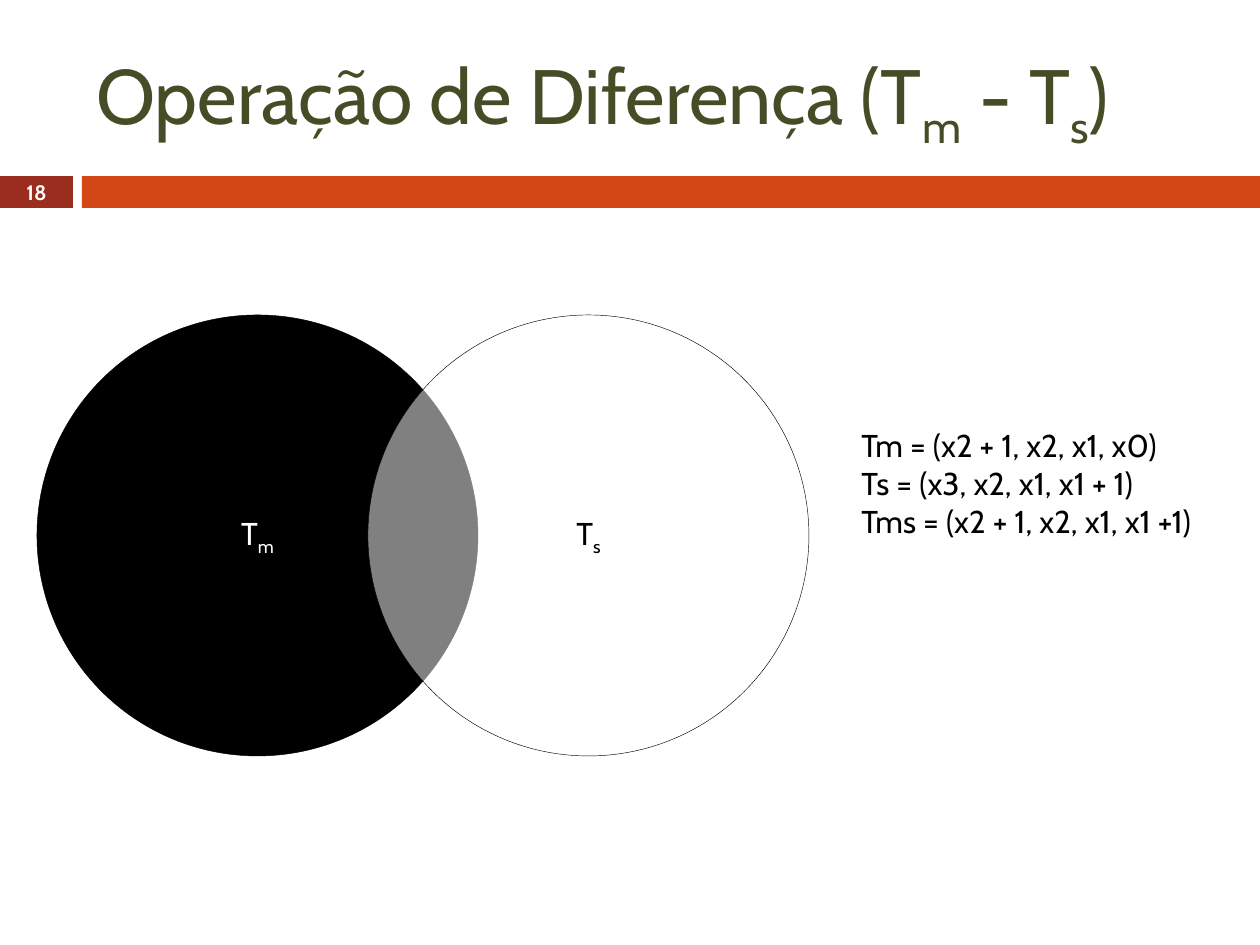
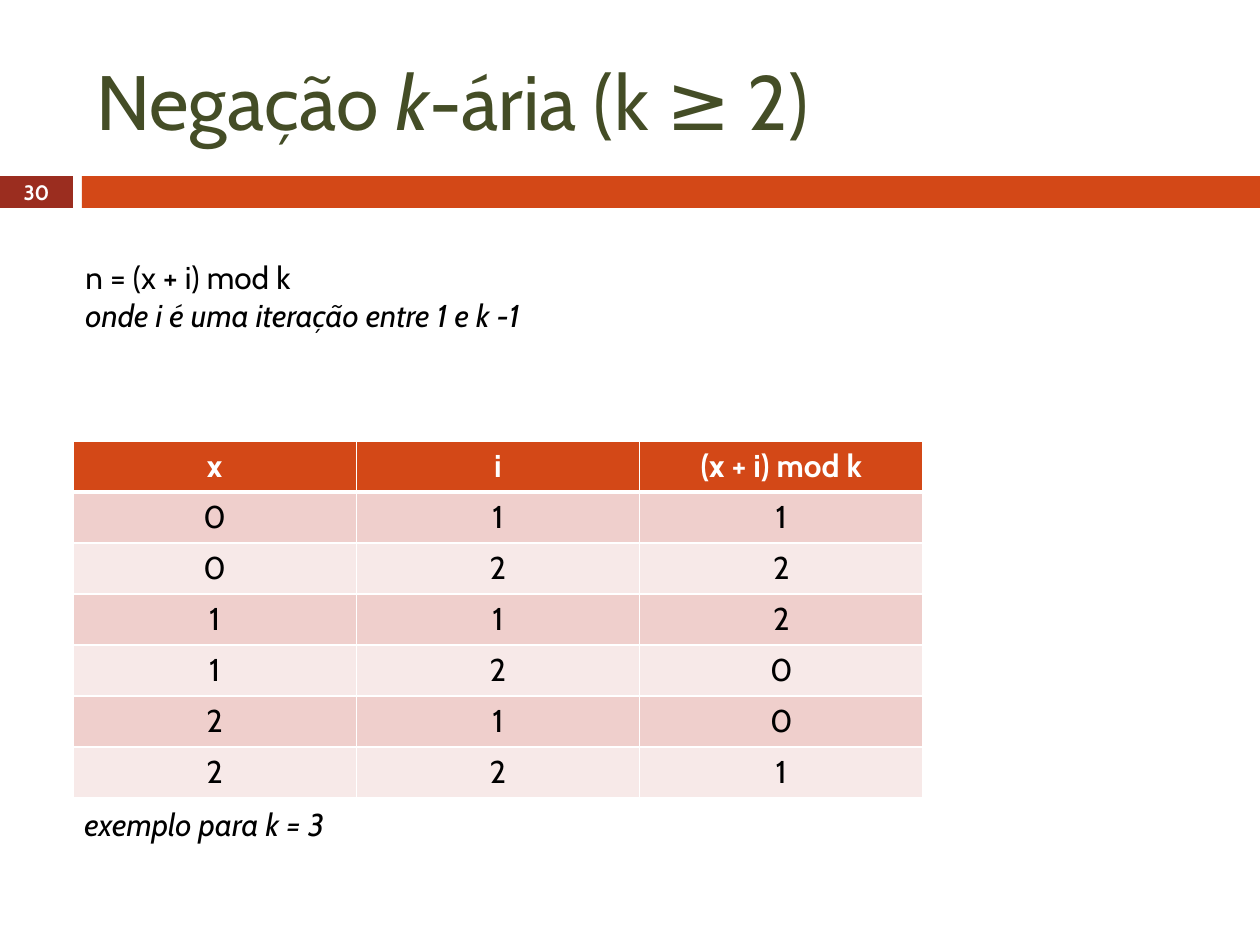
from lxml.etree import SubElement
from pptx import Presentation
from pptx.dml.color import RGBColor
from pptx.enum.shapes import MSO_SHAPE as Shape
from pptx.enum.text import MSO_ANCHOR as Anchor, PP_ALIGN as Align
from pptx.oxml.ns import qn
from pptx.util import Pt

PX = 914400 / 126
COLORS = {
    "title": "444D26", "number": "9B2D1F", "accent": "D34817",
    "row_dark": "EFCFCC", "row_light": "F7E9E8",
    "black": "000000", "white": "FFFFFF",
}
FONT = "Cabin"
TITLE = {"size": Pt(44), "color": "title"}
NUMBER = {"size": Pt(11.9), "color": "white", "bold": True}
BODY = {"size": Pt(18), "color": "black"}
ITALIC = {"italic": True}
SUB = {"baseline": "-25000"}


def write(frame, lines, base, align=Align.LEFT):
    """Fill a text frame; each line is a list of (text, extra format) spans."""
    for index, spans in enumerate(lines):
        para = frame.paragraphs[0] if index == 0 else frame.add_paragraph()
        para.alignment = align
        for text, extra in spans:
            span = para.add_run()
            span.text = text
            span.font.name = FONT
            for name, value in {**base, **extra}.items():
                if name == "color":
                    span.font.color.rgb = RGBColor.from_string(COLORS[value])
                elif name == "baseline":
                    span.font._element.set(name, value)
                else:
                    setattr(span.font, name, value)


def add_box(page, place, lines=(), base=BODY, fill=None, shape=None,
            align=Align.LEFT, anchor=Anchor.TOP, wrap=True):
    """Add a text box, or a preset shape when one is given."""
    place = [round(length * PX) for length in place]
    if shape is None:
        box = page.shapes.add_textbox(*place)
    else:
        box = page.shapes.add_shape(shape, *place)
        box.shadow.inherit = False
        box.fill.solid()
        box.fill.fore_color.rgb = RGBColor.from_string(COLORS[fill])
        box.line.fill.background()
    box.text_frame.word_wrap = wrap
    box.text_frame.vertical_anchor = anchor
    write(box.text_frame, lines, base, align)
    return box


deck = Presentation()
deck.slide_width, deck.slide_height = round(1260 * PX), round(945 * PX)

# Shared title, number and bands
headings = [
    ("18", [("Operação de Diferença (T", {}), ("m", SUB), (" - T", {}),
            ("s", SUB), (")", {})]),
    ("30", [("Negação ", {}), ("k", ITALIC), ("-ária (k ≥ 2)", {})]),
]
pages = []
for number, title in headings:
    page = deck.slides.add_slide(deck.slide_layouts[6])
    add_box(page, (0, 176, 73, 32), fill="number", shape=Shape.RECTANGLE)
    add_box(page, (82, 176, 1178, 32), fill="accent", shape=Shape.RECTANGLE)
    add_box(page, (84, 32, 1124, 136), [title], TITLE, anchor=Anchor.MIDDLE)
    add_box(page, (0, 175, 73, 34), [[(number, {})]], NUMBER,
            align=Align.CENTER, anchor=Anchor.MIDDLE)
    pages.append(page)
difference, negation = pages

# Difference: two overlapping sets
for left, letter, fill, ink in ((37, "m", "black", "white"),
                                (368, "s", "white", "black")):
    circle = add_box(difference, (left, 315, 441, 441),
                     [[("T", {}), (letter, SUB)]], {**BODY, "color": ink},
                     fill, Shape.OVAL, Align.CENTER, Anchor.MIDDLE)
    circle.line.color.rgb = RGBColor.from_string(COLORS["black"])
    circle.line.width = Pt(0.25)
fill_color = next(circle._element.spPr.iter(qn("a:srgbClr")))
SubElement(fill_color, qn("a:alpha"), val="50000")

tuples = ["Tm = (x2 + 1, x2, x1, x0)", "Ts = (x3, x2, x1, x1 + 1)",
          "Tms = (x2 + 1, x2, x1, x1 +1)"]
add_box(difference, (849, 420, 411, 165), [[(text, {})] for text in tuples],
        wrap=False)

# Negation: formula, truth table for k = 3 and caption
add_box(negation, (73, 252, 630, 90),
        [[("n = (x + i) mod k", {})],
         [("onde i é uma iteração entre 1 e k -1", ITALIC)]])

K = 3
rows = [("x", "i", "(x + i) mod k")]
rows += [(x, i, (x + i) % K) for x in range(K) for i in range(1, K)]
place = [round(length * PX) for length in (73, 441, 850, 51 * len(rows))]
table = negation.shapes.add_table(len(rows), 3, *place).table
for row_index, values in enumerate(rows):
    header = row_index == 0
    if header:
        fill, base = "accent", {**BODY, "color": "white", "bold": True}
    else:
        fill = "row_dark" if row_index % 2 else "row_light"
        base = {**BODY, "bold": False}
    widths = {"lnL": 1, "lnR": 1, "lnT": 3 if row_index == 1 else 1,
              "lnB": 3 if header else 1}
    for column, value in enumerate(values):
        cell = table.cell(row_index, column)
        properties = cell._tc.get_or_add_tcPr()
        for side, width in widths.items():
            line = SubElement(properties, qn(f"a:{side}"), w=str(Pt(width)))
            solid = SubElement(line, qn("a:solidFill"))
            SubElement(solid, qn("a:srgbClr"), val=COLORS["white"])
        cell.fill.solid()
        cell.fill.fore_color.rgb = RGBColor.from_string(COLORS[fill])
        write(cell.text_frame, [[(str(value), {})]], base, Align.CENTER)

add_box(negation, (72, 799, 630, 52), [[("exemplo para k = 3", ITALIC)]])

deck.save("out.pptx")
